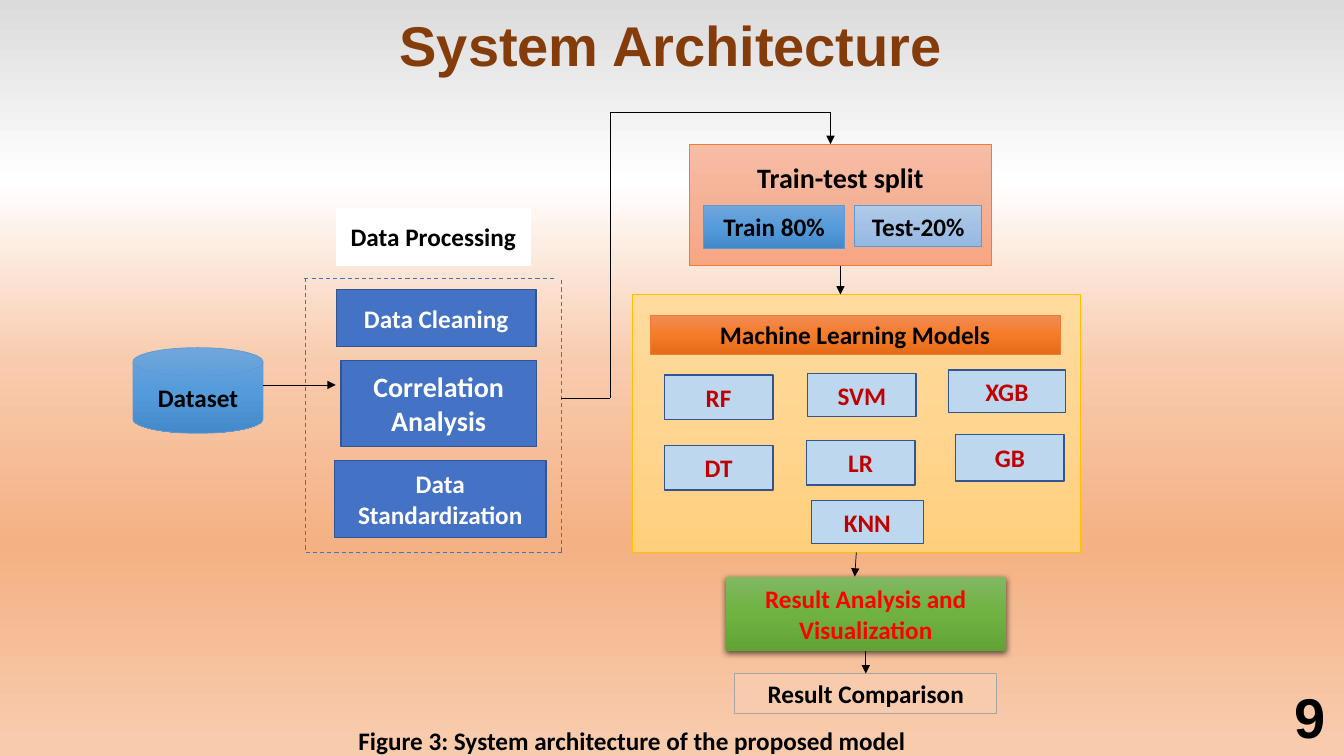
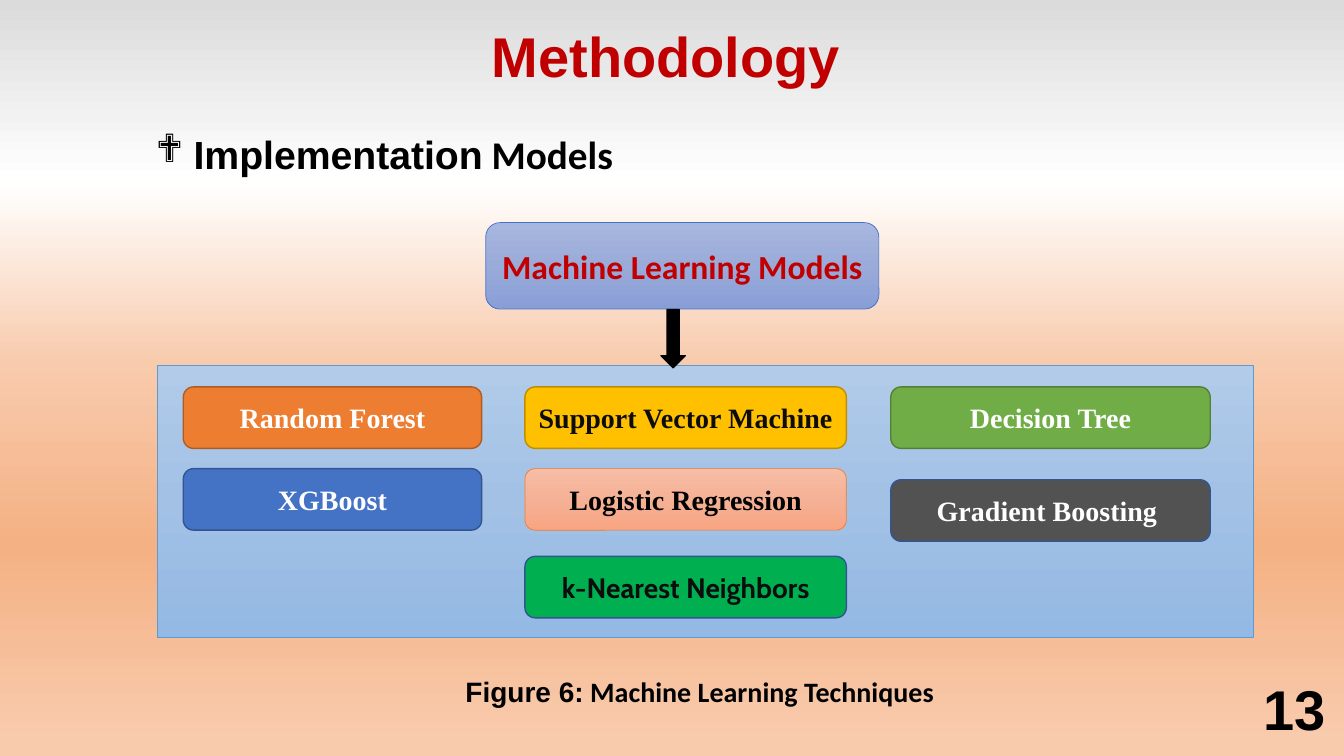
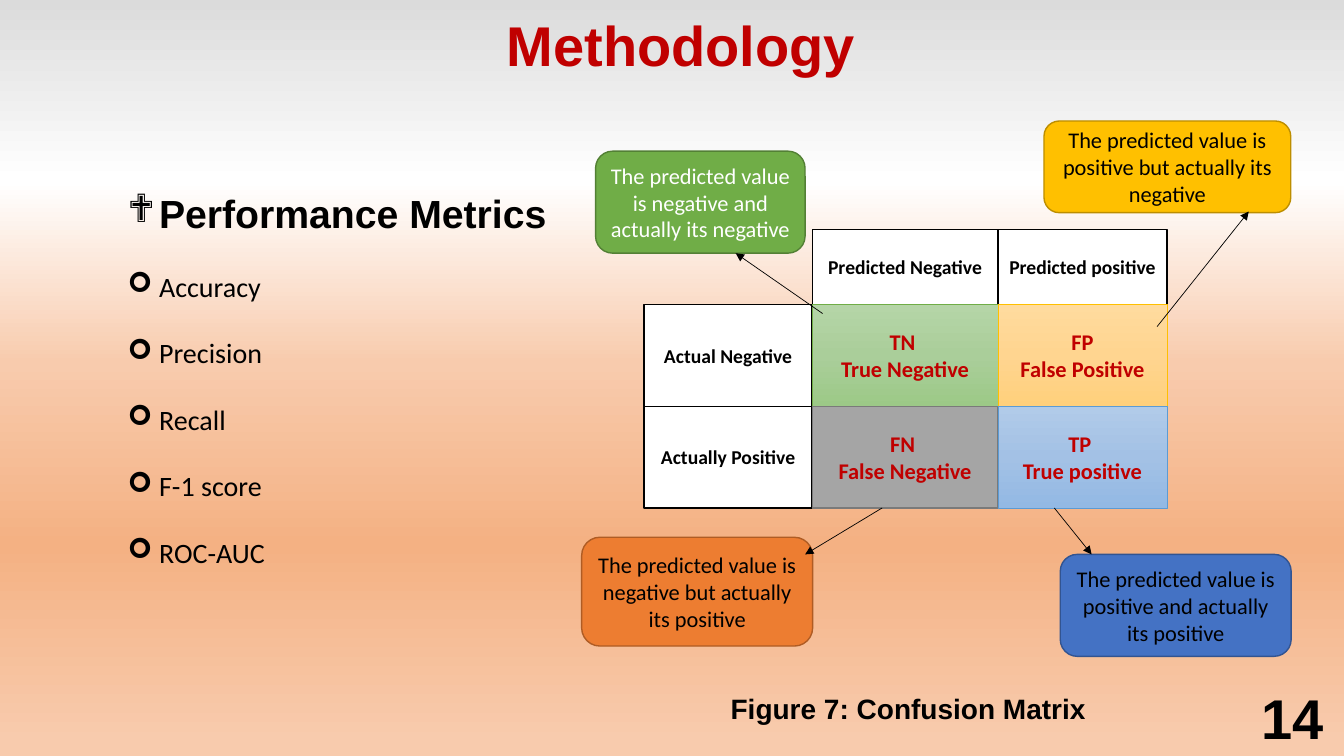
from lxml import etree
from pptx import Presentation
from pptx.dml.color import RGBColor
from pptx.enum.dml import MSO_LINE
from pptx.enum.shapes import MSO_CONNECTOR, MSO_SHAPE
from pptx.enum.text import MSO_ANCHOR, MSO_AUTO_SIZE, PP_ALIGN
from pptx.oxml.ns import qn
from pptx.util import Cm, Pt

RECT, ROUNDED = MSO_SHAPE.RECTANGLE, MSO_SHAPE.ROUNDED_RECTANGLE
DISK, DOWN_ARROW = MSO_SHAPE.FLOWCHART_MAGNETIC_DISK, MSO_SHAPE.DOWN_ARROW
STRAIGHT, DASH = MSO_CONNECTOR.STRAIGHT, MSO_LINE.DASH
CENTER, LEFT = PP_ALIGN.CENTER, PP_ALIGN.LEFT
TOP, MIDDLE = MSO_ANCHOR.TOP, MSO_ANCHOR.MIDDLE
SIDE_TOP, SIDE_BOTTOM = 0, 2


class Theme:
    sans, body, serif, cabin = "Arial", "Calibri", "Times New Roman", "Cabin"
    title, heading, big, label, normal, note, small = 40, 28, 24, 20, 18, 16, 14
    black, ink, white, red = "000000", "0D0D0D", "FFFFFF", "C00000"
    bright_red, brown, blue = "FF0000", "843C0B", "4472C4"
    background = [(0, "DBDBDB"), (24, "FFFFFF"), (48, "F8CBAD"), (72, "F4B183"), (98, "F8CBAD")]
    # look: fill (one colour, or three gradient stops), outline colour, outline width
    looks = {
        "blue": ("4472C4", "325491", 1),
        "pale blue": ("BDD7EE", "325491", 1),
        "charcoal": ("525252", "325491", 1),
        "emerald": ("00B050", "325491", 1),
        "orange": ("ED7D31", "AF5C24", 1),
        "gold": ("FFC000", "BD8E00", 1),
        "green": ("70AD47", "538035", 1),
        "gray": ("A5A5A5", "7A7A7A", 1),
        "black": ("000000", "000000", 1),
        "white": ("FFFFFF", "FFFFFF", 1),
        "table head": ("FFFFFF", "000000", 1),
        "peach": ("F8CBAD", "A5A5A5", 0.5),
        "sky gradient": (("71A6DB", "559BDB", "448ACA"), "5B9BD5", 0.5),
        "mist gradient": (("B1CBE9", "A3C1E5", "93B9E4"), "5B9BD5", 0.5),
        "lilac gradient": (("A8B7DF", "9AABD9", "889ED7"), "4472C4", 0.5),
        "salmon gradient": (("F7BDA5", "F5B196", "F8A582"), "ED7D31", 0.5),
        "orange gradient": (("F18C57", "F67B28", "E56C19"), "ED7D31", 0.5),
        "sand gradient": (("FFDB9E", "FFD590", "FFD07C"), "FFC000", 0.5),
        "leaf gradient": (("B5D5A7", "AACE9A", "9CC987"), "70AD47", 0.5),
        "grass gradient": (("81B861", "6FB242", "62A336"), None, 0),
    }


# Content: places are (left, top, width, height) in centimetres.
ARCHITECTURE = {
    "title": ("System Architecture", Theme.brown, 8.43, 0.13),
    "caption": ("Figure 3: System architecture of the proposed model", Theme.body,
                Theme.normal, (7.32, 18.14, 17.22, 1.02)),
    "number": ("9", (32.38, 17.07, 1.5, 1.96)),
}
PROCESSING_STEPS = [
    ("Data Cleaning", Theme.normal, (8.48, 7.29, 5.03, 1.45)),
    ("Correlation Analysis", Theme.label, (8.59, 9.09, 4.93, 2.16)),
    ("Data Standardization", Theme.normal, (8.43, 11.61, 5.33, 1.93)),
]
STAGES = [
    ("Data Processing", "white", (8.48, 5.26, 4.88, 1.42)),
    ("Train 80%", "sky gradient", (17.73, 5.18, 3.56, 1.07)),
    ("Test-20%", "mist gradient", (21.54, 5.18, 3.2, 1.04)),
    ("Machine Learning Models", "orange gradient", (16.38, 7.95, 10.34, 0.97)),
]
CANDIDATES = [
    ("RF", (16.74, 9.45, 2.74, 1.12)),
    ("SVM", (20.35, 9.42, 2.74, 1.07)),
    ("XGB", (23.9, 9.32, 2.95, 1.07)),
    ("DT", (16.74, 11.23, 2.74, 1.12)),
    ("LR", (20.32, 11.1, 2.74, 1.12)),
    ("GB", (24.08, 10.95, 2.74, 1.17)),
    ("KNN", (20.45, 12.62, 2.82, 1.07)),
]
PROCESSING_FRAME = [
    ((7.7, 7.01), (7.7, 13.92)),
    ((7.67, 7.01), (14.02, 7.01)),
    ((14.15, 7.06), (14.15, 13.92)),
    ((7.7, 13.92), (14.25, 13.92)),
]
ROUTE_TO_SPLIT = [(14.15, 10.03), (15.37, 10.03), (15.37, 2.84), (20.93, 2.84), (20.93, 3.63)]

MODELS = {
    "title": ("Methodology ", Theme.red, 8.51, 0.41),
    "caption": ([("Figure 6:", Theme.sans), (" Machine Learning Techniques", Theme.body)],
                Theme.sans, Theme.label, (8.81, 16.87, 17.65, 1.12)),
    "number": ("13", (31.6, 16.87, 2.29, 1.96)),
}
MODEL_HEADING = [("Implementation", Theme.sans), (" Models", Theme.body)]
MODEL_COLUMNS = [(4.62, 7.52), (13.23, 8.1), (22.45, 8.05)]
MODEL_HEIGHT = 1.55
# text, look, text colour, font, column, top
MODEL_CARDS = [
    ("Random Forest", "orange", Theme.white, Theme.serif, 0, 9.75),
    ("Support Vector Machine ", "gold", Theme.ink, Theme.serif, 1, 9.75),
    ("Decision Tree", "green", Theme.white, Theme.serif, 2, 9.75),
    ("XGBoost", "blue", Theme.white, Theme.serif, 0, 11.81),
    ("Logistic Regression", "salmon gradient", Theme.black, Theme.serif, 1, 11.81),
    ("Gradient Boosting ", "charcoal", Theme.white, Theme.serif, 2, 12.09),
    ("k-Nearest Neighbors", "emerald", Theme.ink, Theme.cabin, 1, 14.02),
]

METRICS = {
    "title": ("Methodology", Theme.red, 8.69, 0.15),
    "caption": ("Figure 7: Confusion Matrix ", Theme.sans, Theme.label, (14.43, 17.3, 17.12, 1.12)),
    "number": ("14", (31.55, 17.09, 2.31, 1.96)),
}
METRIC_HEADING = "Performance Metrics"
METRIC_NAMES = ["Accuracy", "Precision", "Recall", "F-1 score", "ROC-AUC"]
MATRIX_X = [16.23, 20.47, 25.15, 29.41]
MATRIX_Y = [5.79, 7.67, 10.24, 12.8]
MATRIX = [
    [None, ("Predicted Negative", "table head"), ("Predicted positive", "table head")],
    [("Actual Negative", "table head"), ("TN \nTrue Negative", "leaf gradient"),
     ("FP\nFalse Positive", "sand gradient")],
    [("Actually Positive", "table head"), ("FN \nFalse Negative", "gray"),
     ("TP \nTrue positive", "mist gradient")],
]
# text, look, text colour, place, arrow start, arrow end
EXPLANATIONS = [
    ("The predicted value is negative and actually its negative", "green", Theme.white,
     (15.01, 3.81, 5.28, 2.57), (20.73, 7.9), (18.54, 6.38)),
    ("The predicted value is positive but actually its negative", "gold", Theme.black,
     (26.31, 3.05, 6.22, 2.31), (29.16, 8.23), (31.47, 5.33)),
    ("The predicted value is negative but actually its positive", "orange", Theme.black,
     (14.66, 13.54, 5.82, 2.74), (22.23, 12.8), (20.29, 13.97)),
    ("The predicted value is positive and actually its positive", "blue", Theme.black,
     (26.72, 13.97, 5.82, 2.57), (26.57, 12.8), (27.51, 13.97)),
]


def rgb(color):
    return RGBColor.from_string(color)


def add_xml(parent, tag, **attributes):
    return etree.SubElement(parent, qn(tag), {key: str(value) for key, value in attributes.items()})


def paint_gradient(fill, element, stops):
    """Fill from top to bottom with (percent, colour) stops; element holds the fill."""
    fill.gradient()
    fill.gradient_angle = 270
    stop_list = next(element.iter(qn("a:gsLst")))
    for old_stop in list(stop_list):
        stop_list.remove(old_stop)
    for percent, color in stops:
        stop = add_xml(stop_list, "a:gs", pos=percent * 1000)
        add_xml(stop, "a:srgbClr", val=color)


def format_runs(paragraph, size, color, font, bold):
    for run in paragraph.runs:
        run.font.size, run.font.bold = Pt(size), bold
        run.font.color.rgb = rgb(color)
        run.font.name = run.font.name or font


def write(frame, text, size, color=Theme.black, font=Theme.body, bold=True, align=CENTER):
    """Write a string, or a list of (text, font) runs."""
    frame.word_wrap = True
    if isinstance(text, str):
        frame.text = text
    else:
        for part, part_font in text:
            run = frame.paragraphs[0].add_run()
            run.text, run.font.name = part, part_font
    for paragraph in frame.paragraphs:
        paragraph.alignment = align
        format_runs(paragraph, size, color, font, bold)


def add_text(slide, place, text, size, **style):
    frame = slide.shapes.add_textbox(*map(Cm, place)).text_frame
    frame.auto_size = MSO_AUTO_SIZE.SHAPE_TO_FIT_TEXT
    write(frame, text, size, **style)
    return frame


def add_box(slide, place, look, text="", size=Theme.normal, kind=RECT, **style):
    box = slide.shapes.add_shape(kind, *map(Cm, place))
    box.shadow.inherit = False
    fill, outline, width = Theme.looks[look]
    if isinstance(fill, str):
        box.fill.solid()
        box.fill.fore_color.rgb = rgb(fill)
    else:
        paint_gradient(box.fill, box.element, zip((0, 50, 100), fill))
    if outline:
        box.line.color.rgb = rgb(outline)
        box.line.width = Pt(width)
    else:
        box.line.fill.background()
    if text:
        box.text_frame.vertical_anchor = MIDDLE
        write(box.text_frame, text, size, **style)
    return box


def add_line(slide, start, end, color=Theme.black, width=0.5, arrow=False, dash=None):
    line = slide.shapes.add_connector(STRAIGHT, *map(Cm, (*start, *end)))
    line.line.color.rgb = rgb(color)
    line.line.width = Pt(width)
    if dash:
        line.line.dash_style = dash
    properties = line.element.spPr
    if arrow:
        add_xml(properties.find(qn("a:ln")), "a:tailEnd", type="triangle")
    add_xml(properties, "a:effectLst")
    return line


def add_bullet(paragraph, symbol, indent):
    properties = paragraph._p.get_or_add_pPr()
    properties.set("marL", str(Cm(indent)))
    properties.set("indent", str(-Cm(indent)))
    add_xml(properties, "a:buFont", typeface="Wingdings")
    add_xml(properties, "a:buChar", char=symbol)


def add_soft_shadow(shape):
    effects = shape.element.spPr.find(qn("a:effectLst"))
    shadow = add_xml(effects, "a:outerShdw", blurRad=Pt(4.5), dist=Pt(1.5), dir=5400000)
    color = add_xml(shadow, "a:srgbClr", val=Theme.black)
    add_xml(color, "a:alpha", val=63000)


def start_slide(deck, content):
    """Add a slide with its title, figure caption and number."""
    slide = deck.slides.add_slide(deck.slide_layouts[6])
    title, color, left, top = content["title"]
    add_text(slide, (left, top, 16.94, 1.96), title, Theme.title, color=color, font=Theme.sans)
    caption, font, size, place = content["caption"]
    add_text(slide, place, caption, size, font=font)
    number, place = content["number"]
    add_text(slide, place, number, Theme.title, font=Theme.sans, align=LEFT)
    return slide


def build_architecture(deck):
    slide = start_slide(deck, ARCHITECTURE)
    add_box(slide, (3.35, 8.76, 3.28, 2.16), "sky gradient", "Dataset", kind=DISK)
    for text, size, place in PROCESSING_STEPS:
        add_box(slide, place, "blue", text, size, color=Theme.white)

    split = add_box(slide, (17.37, 3.63, 7.62, 3.07), "salmon gradient",
                    "Train-test split", Theme.label)
    split.text_frame.vertical_anchor = TOP
    split.text_frame.margin_top = Cm(0.42)
    models = add_box(slide, (15.93, 7.42, 11.3, 6.5), "sand gradient")
    for text, look, place in STAGES:
        add_box(slide, place, look, text)
    for text, place in CANDIDATES:
        add_box(slide, place, "pale blue", text, color=Theme.red)
    analysis = add_box(slide, (18.29, 14.53, 7.06, 1.88), "grass gradient",
                       "Result Analysis and Visualization", color=Theme.bright_red)
    add_soft_shadow(analysis)
    comparison = add_box(slide, (18.52, 16.97, 6.6, 1.02), "peach", "Result Comparison")

    for start, end in PROCESSING_FRAME:
        add_line(slide, start, end, Theme.blue, 0.75, dash=DASH)
    add_line(slide, (6.63, 9.7), (8.46, 9.7), arrow=True)
    for start, end in zip(ROUTE_TO_SPLIT, ROUTE_TO_SPLIT[1:]):
        add_line(slide, start, end, arrow=end == ROUTE_TO_SPLIT[-1])
    to_models = add_line(slide, (21.18, 6.7), (21.18, 7.42), arrow=True)
    to_models.begin_connect(split, SIDE_BOTTOM)
    to_analysis = add_line(slide, (21.58, 13.92), (21.54, 14.53), arrow=True)
    to_analysis.begin_connect(models, SIDE_BOTTOM)
    to_comparison = add_line(slide, (21.82, 16.41), (21.82, 16.97), arrow=True)
    to_comparison.begin_connect(analysis, SIDE_BOTTOM)
    to_comparison.end_connect(comparison, SIDE_TOP)


def build_models(deck):
    slide = start_slide(deck, MODELS)
    heading = add_text(slide, (3.68, 3.15, 16.94, 1.45), MODEL_HEADING, Theme.heading, align=LEFT)
    add_bullet(heading.paragraphs[0], "❖", 0.95)
    add_box(slide, (12.24, 5.61, 9.91, 2.18), "lilac gradient", "Machine Learning Models",
            Theme.big, ROUNDED, color=Theme.red)
    add_box(slide, (3.96, 9.22, 27.64, 6.83), "mist gradient")
    for text, look, color, font, column, top in MODEL_CARDS:
        left, width = MODEL_COLUMNS[column]
        add_box(slide, (left, top, width, MODEL_HEIGHT), look, text, Theme.label, ROUNDED,
                color=color, font=font)
    add_box(slide, (16.66, 7.8, 0.61, 1.47), "black", kind=DOWN_ARROW)


def build_metrics(deck):
    slide = start_slide(deck, METRICS)
    metrics = add_text(slide, (2.97, 4.65, 11.46, 9.91), METRIC_HEADING, Theme.heading,
                       font=Theme.sans, align=LEFT)
    add_bullet(metrics.paragraphs[0], "❖", 0.79)
    for name in METRIC_NAMES:
        paragraph = metrics.add_paragraph()
        paragraph.text = name
        paragraph.space_before = Pt(23.5)
        format_runs(paragraph, Theme.label, Theme.black, Theme.body, False)
        add_bullet(paragraph, "➢", 0.79)

    for row, cells in enumerate(MATRIX):
        for column, cell in enumerate(cells):
            if cell:
                text, look = cell
                left, top = MATRIX_X[column], MATRIX_Y[row]
                place = (left, top, MATRIX_X[column + 1] - left, MATRIX_Y[row + 1] - top)
                is_head = look == "table head"
                add_box(slide, place, look, text, Theme.small if is_head else Theme.note,
                        color=Theme.black if is_head else Theme.red)
    for text, look, color, place, start, end in EXPLANATIONS:
        add_box(slide, place, look, text, Theme.note, ROUNDED, color=color, bold=False)
        add_line(slide, start, end, arrow=True)


def main():
    deck = Presentation()
    deck.slide_width, deck.slide_height = Cm(33.87), Cm(19.05)
    master = deck.slide_master
    paint_gradient(master.background.fill, master.element, Theme.background)
    build_architecture(deck)
    build_models(deck)
    build_metrics(deck)
    deck.save("out.pptx")


if __name__ == "__main__":
    main()
